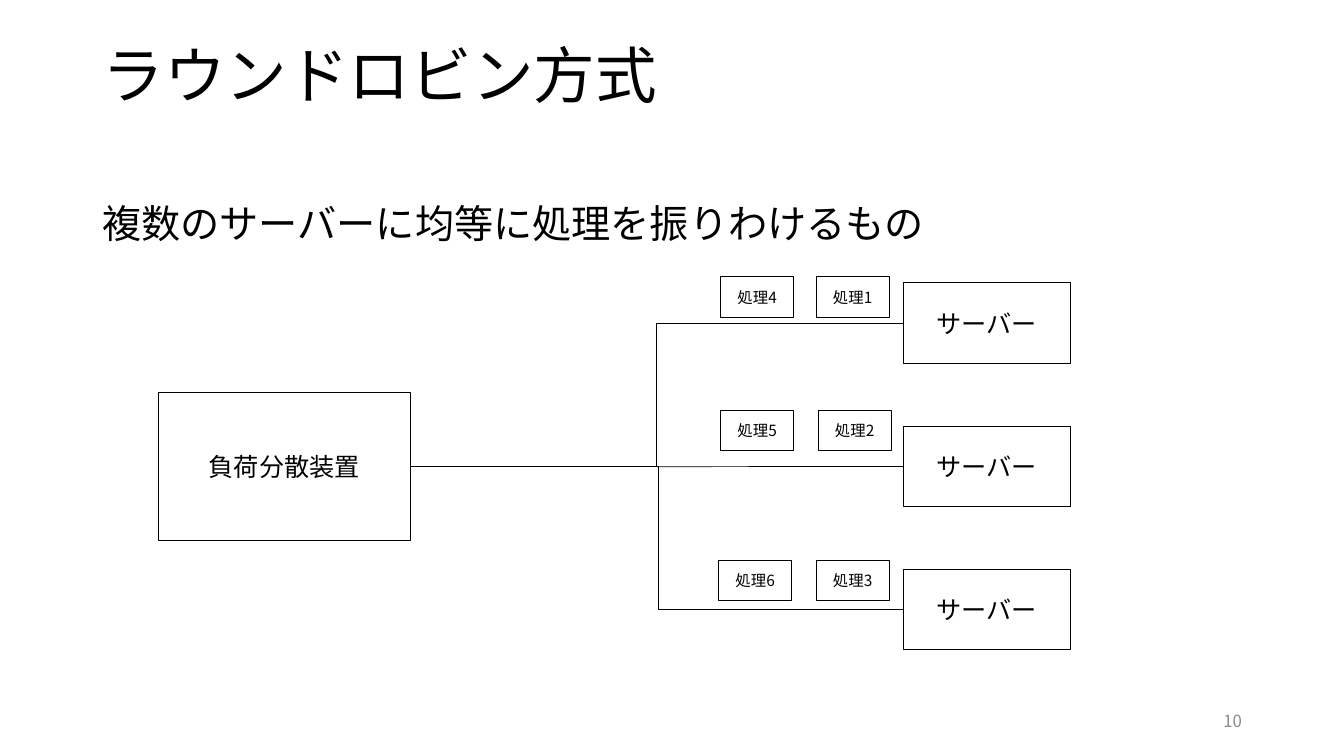
from dataclasses import dataclass

from lxml import etree
from pptx import Presentation
from pptx.dml.color import RGBColor
from pptx.enum.shapes import MSO_CONNECTOR, MSO_SHAPE
from pptx.enum.text import MSO_ANCHOR, MSO_AUTO_SIZE, PP_ALIGN
from pptx.oxml.ns import qn
from pptx.util import Cm, Pt


@dataclass(frozen=True)
class Theme:
    font: str = "Noto Sans CJK JP"
    ink: RGBColor = RGBColor(0, 0, 0)
    muted: RGBColor = RGBColor(0x8C, 0x8C, 0x8C)
    title: int = 44
    body: int = 28
    node: int = 18
    number: int = 12
    task: int = 11
    outline: float = 0.75
    wire: float = 0.5


THEME = Theme()

TITLE = "ラウンドロビン方式"
SUMMARY = "複数のサーバーに均等に処理を振りわけるもの"
PAGE = "10"
BALANCER = "負荷分散装置"
SERVER = "サーバー"
SERVER_TASKS = [
    [("処理1", 20.57), ("処理4", 18.16)],
    [("処理2", 20.62), ("処理5", 18.16)],
    [("処理3", 20.57), ("処理6", 18.11)],
]
TASK_TOPS = [6.98, 10.34, 14.12]

MARGIN, CONTENT_WIDTH = 2.33, 29.21
BALANCER_BOX = (3.99, 9.9, 6.35, 3.72)
SERVER_LEFT, SERVER_TOP, SERVER_PITCH = 22.76, 7.13, 3.61
SERVER_SIZE = (4.22, 2.03)
TASK_SIZE = (1.84, 1.02)
BRANCH_X = 16.57
LEFT_SITE, RIGHT_SITE = 1, 3

FULLWIDTH = str.maketrans("23456", "23456")

prs = Presentation()
prs.slide_width, prs.slide_height = Cm(33.87), Cm(19.05)
slide = prs.slides.add_slide(prs.slide_layouts[5])
shapes = slide.shapes


def write(shape, text, size, color=THEME.ink, align=PP_ALIGN.LEFT,
          anchor=MSO_ANCHOR.TOP, spacing=None, before=0):
    frame = shape.text_frame
    frame.word_wrap = True
    frame.auto_size = MSO_AUTO_SIZE.NONE
    frame.vertical_anchor = anchor
    paragraph = frame.paragraphs[0]
    paragraph.alignment = align
    paragraph.line_spacing = spacing
    paragraph.space_before = Pt(before)
    run = paragraph.add_run()
    run.text = text
    run.font.size = Pt(size)
    run.font.color.rgb = color
    run.font.name = THEME.font
    east_asian = etree.SubElement(run.font._element, qn("a:ea"))
    east_asian.set("typeface", THEME.font)


def text_box(box, text, size, **style):
    write(shapes.add_textbox(*map(Cm, box)), text, size, **style)


def node(box, text, size):
    shape = shapes.add_shape(MSO_SHAPE.RECTANGLE, *map(Cm, box))
    shape.shadow.inherit = False
    shape.fill.background()
    shape.line.color.rgb = THEME.ink
    shape.line.width = Pt(THEME.outline)
    write(shape, text, size, align=PP_ALIGN.CENTER, anchor=MSO_ANCHOR.MIDDLE)
    return shape


def wire(kind, start, server):
    end_y = server.top + server.height // 2
    line = shapes.add_connector(kind, *start, server.left, end_y)
    line.end_connect(server, LEFT_SITE)
    line.line.color.rgb = THEME.ink
    line.line.width = Pt(THEME.wire)
    etree.SubElement(line._element.spPr, qn("a:effectLst"))
    return line


title = shapes.title
title.left, title.top = Cm(MARGIN), Cm(1.02)
title.width, title.height = Cm(CONTENT_WIDTH), Cm(3.68)
write(title, TITLE, THEME.title, spacing=0.9)
text_box((MARGIN, 5.03, CONTENT_WIDTH, 12.09), SUMMARY, THEME.body,
         spacing=0.9, before=10)
text_box((23.93, 17.65, 7.62, 1.02), PAGE, THEME.number, color=THEME.muted,
         align=PP_ALIGN.RIGHT, anchor=MSO_ANCHOR.MIDDLE)

balancer = node(BALANCER_BOX, BALANCER, THEME.node)
servers = [
    node((SERVER_LEFT, SERVER_TOP + row * SERVER_PITCH, *SERVER_SIZE),
         SERVER, THEME.node)
    for row in range(len(SERVER_TASKS))
]

trunk_y = balancer.top + balancer.height // 2
branch = (Cm(BRANCH_X), trunk_y)
upper = wire(MSO_CONNECTOR.ELBOW,
             (balancer.left + balancer.width, trunk_y), servers[0])
upper.begin_connect(balancer, RIGHT_SITE)
wire(MSO_CONNECTOR.STRAIGHT, branch, servers[1])
lower = wire(MSO_CONNECTOR.ELBOW, branch, servers[2])
lower.element.spPr.find(qn("a:prstGeom")).find(qn("a:avLst")).append(
    etree.Element(qn("a:gd"), name="adj1", fmla="val 400"))

for top, tasks in zip(TASK_TOPS, SERVER_TASKS):
    for label, left in tasks:
        node((left, top, *TASK_SIZE), label.translate(FULLWIDTH), THEME.task)

prs.save("out.pptx")
